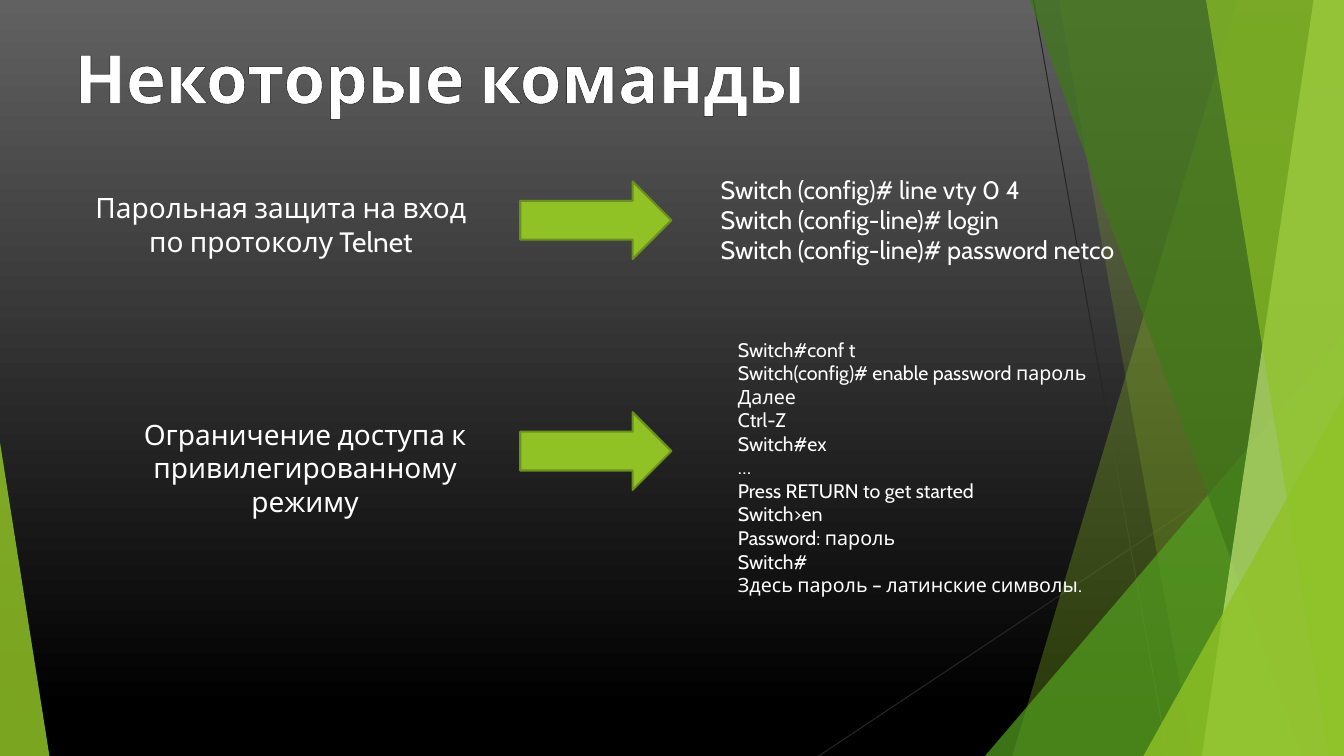
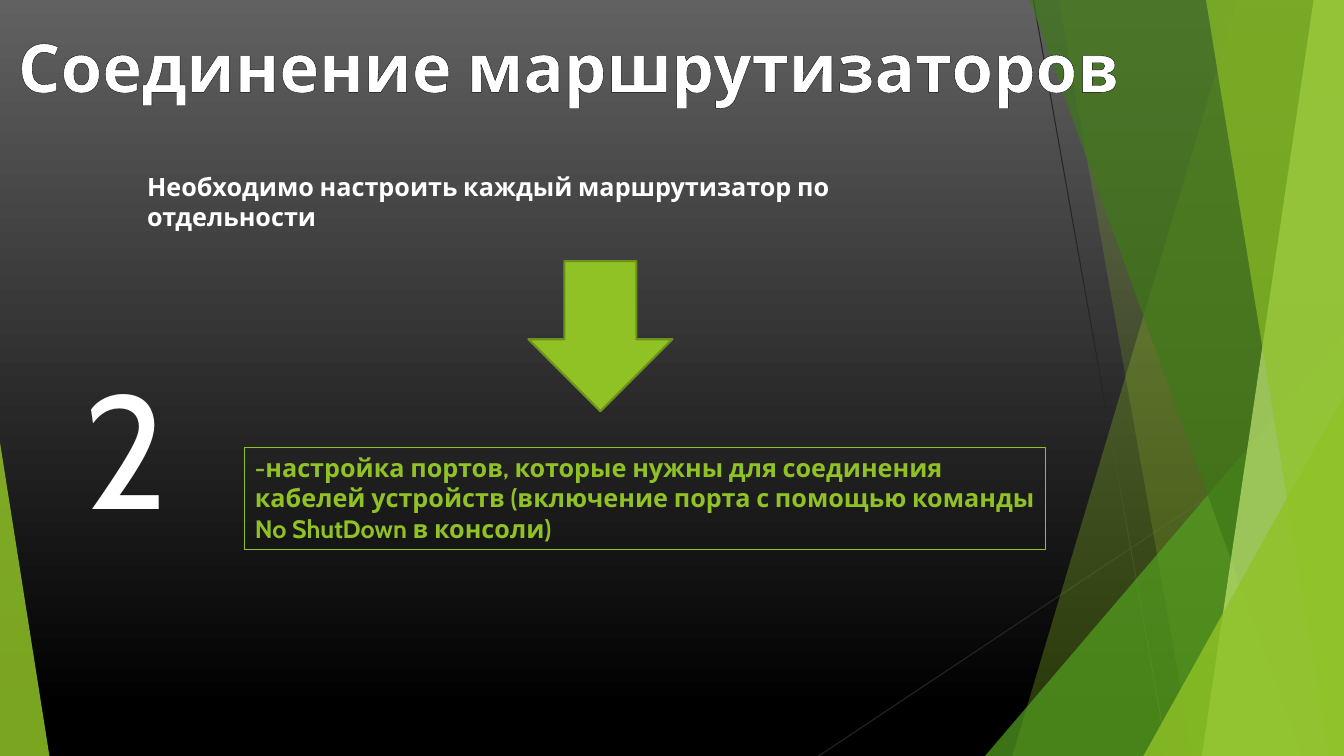
from lxml.etree import SubElement
from pptx import Presentation
from pptx.dml.color import RGBColor
from pptx.enum.shapes import MSO_CONNECTOR, MSO_SHAPE as SHAPE
from pptx.enum.text import MSO_ANCHOR, MSO_AUTO_SIZE, PP_ALIGN as ALIGN
from pptx.oxml.ns import qn
from pptx.util import Inches, Pt

WIDTH, HEIGHT = 13.33, 7.5
BAND_TOP = -0.01
FONT = "Cabin"
COLORS = {
    "sky": "616161", "black": "000000", "hairline": "262626", "white": "FFFFFF",
    "lime": "90C226", "green": "54A021", "forest": "3F7819", "pale": "C0E474",
    "arrow edge": "6B901C",
}
HAIRLINES = [(10.25, 0, 11.58, HEIGHT), (WIDTH, 4.03, 8.12, HEIGHT)]
# Bands reach the right edge: top x, bottom x, colour, opacity in percent
BACK_BANDS = [(12.28, 10.04, "lime", 30), (10.5, 11.83, "lime", 20)]
FRONT_BANDS = [(10.21, 12.91, "forest", 70), (13.03, 11.92, "pale", 70),
               (11.96, 13.18, "lime", 65)]
# Wedges stand on the bottom edge: left, top, width, apex, colour, opacity
BACK_WEDGES = [(9.77, 3.33, 3.56, 1, "green", 72)]
FRONT_WEDGES = [(11.34, 3.93, 1.99, 1, "lime", 80), (0, 4.39, 0.49, 0, "lime", 85)]

TELNET_COMMANDS = """Switch (config)# line vty 0 4
Switch (config-line)# login
Switch (config-line)# password netco"""
PRIVILEGED_COMMANDS = """Switch#conf t
Switch(config)# enable password пароль
Далее
Ctrl-Z
Switch#ex
…
Press RETURN to get started
Switch>en
Password: пароль
Switch#
Здесь пароль – латинские символы."""


def rgb(name):
    return RGBColor.from_string(COLORS[name])


def fill_translucent(shape, color, opacity):
    shape.shadow.inherit = False
    shape.line.fill.background()
    shape.fill.solid()
    shape.fill.fore_color.rgb = rgb(color)
    value = shape.element.spPr.find(qn("a:solidFill"))[0]
    SubElement(value, qn("a:alpha"), val=str(opacity * 1000))


def add_hairline(slide, x1, y1, x2, y2):
    hairline = slide.shapes.add_connector(
        MSO_CONNECTOR.STRAIGHT, *map(Inches, (x1, y1, x2, y2)))
    hairline.line.color.rgb = rgb("hairline")
    hairline.line.width = Pt(0.75)
    SubElement(hairline.element.spPr, qn("a:effectLst"))


def add_band(slide, top_x, bottom_x, color, opacity):
    outline = slide.shapes.build_freeform(Inches(top_x), Inches(BAND_TOP))
    corners = [(WIDTH, BAND_TOP), (WIDTH, HEIGHT), (bottom_x, HEIGHT)]
    outline.add_line_segments([(Inches(x), Inches(y)) for x, y in corners])
    fill_translucent(outline.convert_to_shape(), color, opacity)


def add_wedge(slide, left, top, width, apex, color, opacity):
    wedge = slide.shapes.add_shape(
        SHAPE.ISOSCELES_TRIANGLE, *map(Inches, (left, top, width, HEIGHT - top)))
    wedge.adjustments[0] = apex
    fill_translucent(wedge, color, opacity)


def style_layout(layout, slide):
    """Give the layout its gradient and facets, drawn on the slide and then moved."""
    gradient = layout.background.fill
    gradient.gradient()
    gradient.gradient_angle = 270
    for stop, color, position in zip(gradient.gradient_stops, ("sky", "black"), (0, 0.94)):
        stop.color.rgb = rgb(color)
        stop.position = position

    for footer in list(layout.placeholders)[1:]:
        footer.element.getparent().remove(footer.element)
    facets = [(add_hairline, HAIRLINES), (add_band, BACK_BANDS), (add_wedge, BACK_WEDGES),
              (add_band, FRONT_BANDS), (add_wedge, FRONT_WEDGES)]
    for add_facet, rows in facets:
        for row in rows:
            add_facet(slide, *row)
    for shape in list(slide.shapes):
        if not shape.is_placeholder:
            layout.shapes.element.append(shape.element)


def write(shape, text, size, color="white", bold=False, align=ALIGN.LEFT):
    frame = shape.text_frame
    frame.text = text
    frame.word_wrap = True
    frame.auto_size = MSO_AUTO_SIZE.SHAPE_TO_FIT_TEXT
    frame.vertical_anchor = MSO_ANCHOR.TOP
    for paragraph in frame.paragraphs:
        paragraph.alignment = align
        for run in paragraph.runs:
            run.font.name = FONT
            run.font.size = Pt(size)
            run.font.bold = bold
            run.font.color.rgb = rgb(color)


def set_title(slide, text, left, top, width):
    title = slide.shapes.title
    title.left, title.top, title.width, title.height = map(Inches, (left, top, width, 0.91))
    write(title, text, 48, bold=True, align=ALIGN.CENTER)
    properties = title.text_frame.paragraphs[0].runs[0].font._element
    outline = properties.makeelement(qn("a:ln"), {"w": str(Pt(0.75))})
    properties.insert(0, outline)
    ink = SubElement(outline, qn("a:solidFill"))
    SubElement(ink, qn("a:srgbClr"), val=COLORS["black"])


def add_text(slide, text, box, size, **style):
    textbox = slide.shapes.add_textbox(*map(Inches, box))
    write(textbox, text, size, **style)
    return textbox


def add_arrow(slide, kind, *box):
    arrow = slide.shapes.add_shape(kind, *map(Inches, box))
    arrow.shadow.inherit = False
    arrow.fill.solid()
    arrow.fill.fore_color.rgb = rgb("lime")
    arrow.line.color.rgb = rgb("arrow edge")
    arrow.line.width = Pt(1.5)


def fill_commands(slide):
    set_title(slide, "Некоторые команды", 0.44, 0.31, 7.85)
    add_text(slide, "Парольная защита на вход по протоколу Telnet",
             (0.79, 1.84, 3.99, 0.77), 20, align=ALIGN.CENTER)
    add_text(slide, TELNET_COMMANDS, (7.05, 1.68, 4.87, 1.01), 18)
    add_text(slide, "Ограничение доступа к привилегированному режиму",
             (1.03, 4.09, 3.99, 1.11), 20, align=ALIGN.CENTER)
    add_text(slide, PRIVILEGED_COMMANDS, (7.22, 3.3, 3.93, 2.69), 14)
    for top in (1.8, 4.09):
        add_arrow(slide, SHAPE.RIGHT_ARROW, 5.16, top, 1.5, 0.77)


def fill_routers(slide):
    set_title(slide, "Соединение маршрутизаторов", -0.23, 0.2, 11.75)
    add_text(slide, "Необходимо настроить каждый маршрутизатор по отдельности",
             (1.36, 1.65, 8.51, 0.4), 18, bold=True)
    add_text(slide, "2", (0.73, 3.41, 1.26, 2.04), 115)
    ports = add_text(
        slide,
        "-настройка портов, которые нужны для соединения кабелей устройств "
        "(включение порта с помощью команды No ShutDown в консоли)",
        (2.43, 4.44, 7.94, 1.01), 18, color="lime", bold=True)
    ports.line.color.rgb = rgb("lime")
    ports.line.width = Pt(0.75)
    add_arrow(slide, SHAPE.DOWN_ARROW, 5.24, 2.59, 1.43, 1.49)


def main():
    prs = Presentation()
    prs.slide_width, prs.slide_height = Inches(WIDTH), Inches(HEIGHT)
    title_only = prs.slide_layouts[5]
    commands, routers = (prs.slides.add_slide(title_only) for _ in range(2))
    style_layout(title_only, commands)
    fill_commands(commands)
    fill_routers(routers)
    prs.save("out.pptx")


if __name__ == "__main__":
    main()
